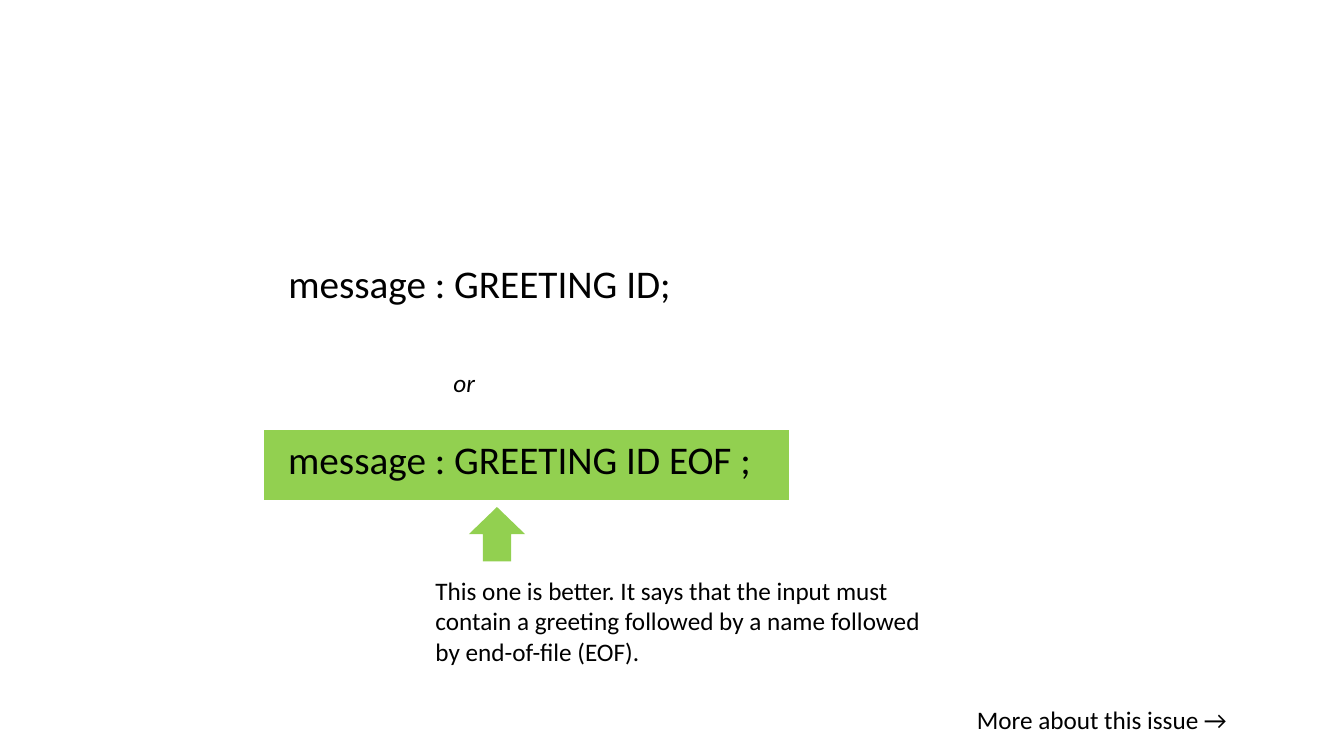
import pptx
import pptx.dml.color
import pptx.enum.shapes
import pptx.enum.text
import pptx.util

COLOURS = {"highlight": "92D050", "text": "000000"}
FONT = "Calibri"
RULE_SIZE, NOTE_SIZE = 28, 18
RULE_LEFT = 20.71
BETTER_TOP = 56.93

# Boxes are left, top, width, height in percent of the slide's size.
SHAPES = [
    (pptx.enum.shapes.MSO_SHAPE.FLOWCHART_PROCESS, (19.65, BETTER_TOP, 39.08, 9.2)),
    (pptx.enum.shapes.MSO_SHAPE.UP_ARROW, (34.88, 67.07, 4.2, 7.2)),
]
# text, box, size, italic, wrap
TEXTS = [
    ("message : GREETING ID;", (RULE_LEFT, 33.6, 30.23, 7.6), RULE_SIZE, False, False),
    ("message : GREETING ID EOF ;", (RULE_LEFT, BETTER_TOP, 36.31, 7.6), RULE_SIZE, False, False),
    ("or", (33, 47.87, 3.15, 5.33), NOTE_SIZE, True, False),
    ("This one is better. It says that the input must contain a greeting "
     "followed by a name followed by end-of-file (EOF).",
     (31.66, 75.47, 38.11, 13.47), NOTE_SIZE, False, True),
    ("More about this issue →", (71.94, 92.53, 20.48, 5.33), NOTE_SIZE, False, False),
]

presentation = pptx.Presentation()
presentation.slide_width = pptx.util.Inches(13.33)
presentation.slide_height = pptx.util.Inches(7.5)
slide = presentation.slides.add_slide(presentation.slide_layouts[6])


def place(box):
    """Turn percentages of the slide into lengths."""
    extents = (presentation.slide_width, presentation.slide_height) * 2
    return [round(share * extent / 100) for share, extent in zip(box, extents)]


def colour(name):
    return pptx.dml.color.RGBColor.from_string(COLOURS[name])


for kind, box in SHAPES:
    shape = slide.shapes.add_shape(kind, *place(box))
    shape.shadow.inherit = False
    shape.fill.solid()
    shape.fill.fore_color.rgb = colour("highlight")
    shape.line.fill.background()

for text, box, size, italic, wrap in TEXTS:
    text_frame = slide.shapes.add_textbox(*place(box)).text_frame
    text_frame.word_wrap = wrap
    text_frame.auto_size = pptx.enum.text.MSO_AUTO_SIZE.SHAPE_TO_FIT_TEXT
    text_frame.text = text
    font = text_frame.paragraphs[0].runs[0].font
    font.name = FONT
    font.size = pptx.util.Pt(size)
    font.italic = italic
    font.color.rgb = colour("text")

presentation.save("out.pptx")
